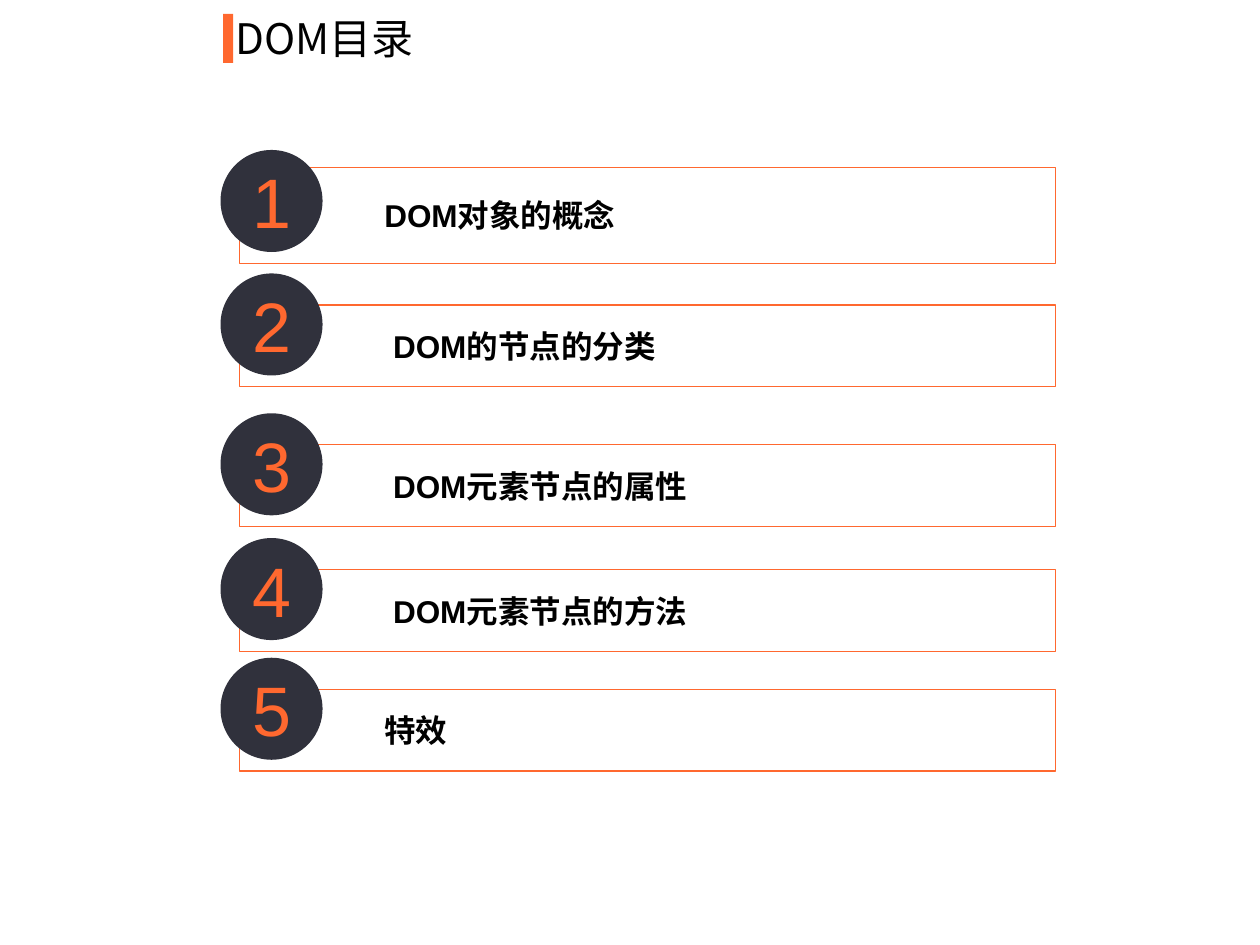
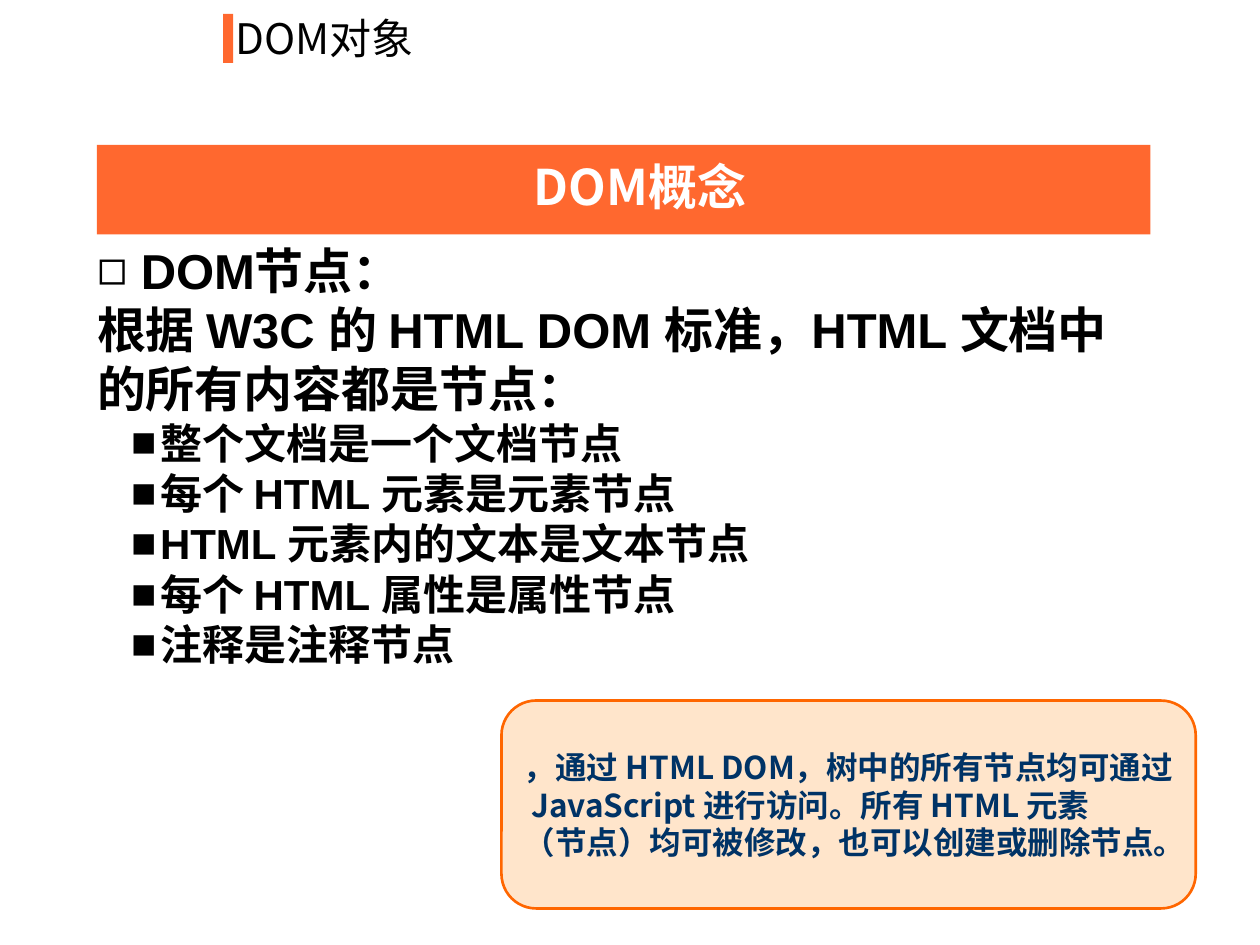
from dataclasses import dataclass

from lxml import etree
from pptx import Presentation
from pptx.dml.color import RGBColor
from pptx.enum.shapes import MSO_SHAPE
from pptx.enum.text import MSO_ANCHOR, MSO_AUTO_SIZE, PP_ALIGN
from pptx.oxml.ns import qn
from pptx.util import Inches, Pt

RECTANGLE = MSO_SHAPE.RECTANGLE
ROUNDED = MSO_SHAPE.ROUNDED_RECTANGLE
OVAL = MSO_SHAPE.OVAL
TOP, MIDDLE = MSO_ANCHOR.TOP, MSO_ANCHOR.MIDDLE
LEFT, CENTER = PP_ALIGN.LEFT, PP_ALIGN.CENTER
NO_AUTOFIT = MSO_AUTO_SIZE.NONE

ORANGE = RGBColor(0xFF, 0x68, 0x2F)
NOTE_ORANGE = RGBColor(0xFF, 0x66, 0x00)
PEACH = RGBColor(0xFF, 0xCC, 0x99)
NAVY = RGBColor(0x00, 0x33, 0x66)
CHARCOAL = RGBColor(0x30, 0x31, 0x3C)
BLACK = RGBColor(0x00, 0x00, 0x00)
WHITE = RGBColor(0xFF, 0xFF, 0xFF)

LATIN_FONT = "Arial"
CHINESE_FONT = "Noto Sans CJK SC"

SLIDE_WIDTH, SLIDE_HEIGHT = Inches(10), Inches(7.5)
COLUMN, ROW = SLIDE_WIDTH / 100, SLIDE_HEIGHT / 75
TITLE_ONLY, TITLE_AND_BODY = 5, 1


@dataclass(frozen=True)
class Area:
    """A place on the grid of 100 columns and 75 rows."""
    column: float
    row: float
    columns: float
    rows: float

    def bounds(self):
        return (round(self.column * COLUMN), round(self.row * ROW),
                round(self.columns * COLUMN), round(self.rows * ROW))


@dataclass(frozen=True)
class TextStyle:
    size: float
    color: RGBColor
    font: str = CHINESE_FONT
    bold: bool = False
    align: PP_ALIGN = LEFT


@dataclass(frozen=True)
class Topic:
    text: str
    box_row: float
    box_rows: float
    circle_row: float


@dataclass(frozen=True)
class BodyLine:
    text: str
    style: TextStyle
    bullet: str = ""
    margin: float = 0
    indent: float = 0


TITLE_STYLE = TextStyle(24, BLACK)
BANNER_STYLE = TextStyle(28, WHITE, bold=True, align=CENTER)
TOPIC_STYLE = TextStyle(18, BLACK, LATIN_FONT, bold=True)
NUMBER_STYLE = TextStyle(40, ORANGE, LATIN_FONT, align=CENTER)
LEAD_STYLE = TextStyle(28, BLACK, LATIN_FONT, bold=True)
ITEM_STYLE = TextStyle(24, BLACK, LATIN_FONT, bold=True)
NOTE_STYLE = TextStyle(18, NAVY, bold=True)

TITLE_BAR = Area(17.7, 1.1, 0.8, 3.9)
TITLE_AREA = Area(17.7, 0.5, 40.2, 5)
BANNER_BAND = Area(7.7, 11.5, 83.6, 7.1)
BANNER_TEXT = Area(13, 11.9, 75.6, 5.7)
BODY_AREA = Area(6.7, 18.6, 85.8, 39)
NOTE_AREA = Area(39.8, 55.6, 55.1, 16.5)
BOX_COLUMN, BOX_COLUMNS = 19, 64.8
CIRCLE_COLUMN, CIRCLE_SIZE = 17.5, 8.1

TOPICS = [
    Topic("DOM对象的概念", 13.3, 7.6, 11.9),
    Topic(" DOM的节点的分类", 24.2, 6.5, 21.7),
    Topic(" DOM元素节点的属性", 35.3, 6.5, 32.8),
    Topic(" DOM元素节点的方法", 45.2, 6.5, 42.7),
    Topic("特效", 54.7, 6.5, 52.2),
]
NODE_KINDS = [
    "整个文档是一个文档节点",
    "每个 HTML 元素是元素节点",
    "HTML 元素内的文本是文本节点",
    "每个 HTML 属性是属性节点",
    "注释是注释节点",
]
BODY_LINES = [
    BodyLine(" DOM节点：", LEAD_STYLE, "◻"),
    BodyLine("根据 W3C 的 HTML DOM 标准，HTML 文档中的所有内容都是节点：", LEAD_STYLE),
    *(BodyLine(kind, ITEM_STYLE, "■", 0.5, -0.23) for kind in NODE_KINDS),
]
NOTE_LINES = [
    "，通过 HTML DOM，树中的所有节点均可通过",
    " JavaScript 进行访问。所有 HTML 元素",
    "（节点）均可被修改，也可以创建或删除节点。",
]


def write_paragraph(paragraph, text: str, style: TextStyle) -> None:
    paragraph.alignment = style.align
    paragraph.line_spacing = 1.0
    paragraph.space_before = paragraph.space_after = Pt(0)
    run = paragraph.add_run()
    run.text = text
    run.font.size = Pt(style.size)
    run.font.bold = style.bold
    run.font.color.rgb = style.color
    run.font.name = style.font
    etree.SubElement(run.font._element, qn("a:ea"), typeface=CHINESE_FONT)


def next_paragraph(frame, index: int):
    return frame.paragraphs[0] if index == 0 else frame.add_paragraph()


def format_bullet(paragraph, line: BodyLine) -> None:
    properties = paragraph._p.get_or_add_pPr()
    properties.set("marL", str(Inches(line.margin)))
    properties.set("indent", str(Inches(line.indent)))
    if not line.bullet:
        etree.SubElement(properties, qn("a:buNone"))
        return
    color = etree.SubElement(properties, qn("a:buClr"))
    etree.SubElement(color, qn("a:srgbClr"), val=str(line.style.color))
    etree.SubElement(properties, qn("a:buFont"), typeface=LATIN_FONT)
    etree.SubElement(properties, qn("a:buChar"), char=line.bullet)


def place(shape, area: Area) -> None:
    shape.left, shape.top, shape.width, shape.height = area.bounds()


def prepare_frame(shape, anchor: MSO_ANCHOR, wrap: bool = True):
    frame = shape.text_frame
    frame.auto_size = NO_AUTOFIT
    frame.word_wrap = wrap
    frame.vertical_anchor = anchor
    return frame


def add_filled_shape(slide, kind: MSO_SHAPE, area: Area, fill: RGBColor,
                     opacity: int = 100, line: RGBColor | None = None,
                     line_width: float = 0.75):
    shape = slide.shapes.add_shape(kind, *area.bounds())
    shape.shadow.inherit = False
    shape.fill.solid()
    shape.fill.fore_color.rgb = fill
    if opacity < 100:
        color = shape.element.spPr.find(qn("a:solidFill")).find(qn("a:srgbClr"))
        etree.SubElement(color, qn("a:alpha"), val=str(opacity * 1000))
    if line is None:
        shape.line.fill.background()
    else:
        shape.line.color.rgb = line
        shape.line.width = Pt(line_width)
    return shape


def add_titled_slide(presentation, layout: int, title: str):
    slide = presentation.slides.add_slide(presentation.slide_layouts[layout])
    add_filled_shape(slide, RECTANGLE, TITLE_BAR, ORANGE)
    place(slide.shapes.title, TITLE_AREA)
    frame = prepare_frame(slide.shapes.title, TOP)
    write_paragraph(frame.paragraphs[0], title, TITLE_STYLE)
    return slide


def add_topic(slide, number: int, topic: Topic) -> None:
    box = add_filled_shape(
        slide, RECTANGLE,
        Area(BOX_COLUMN, topic.box_row, BOX_COLUMNS, topic.box_rows),
        WHITE, opacity=40, line=ORANGE)
    frame = prepare_frame(box, MIDDLE)
    frame.margin_left = Inches(1.15)
    frame.margin_top = frame.margin_right = frame.margin_bottom = Inches(0.08)
    write_paragraph(frame.paragraphs[0], topic.text, TOPIC_STYLE)

    circle = add_filled_shape(
        slide, OVAL,
        Area(CIRCLE_COLUMN, topic.circle_row, CIRCLE_SIZE, CIRCLE_SIZE), CHARCOAL)
    frame = prepare_frame(circle, MIDDLE)
    write_paragraph(frame.paragraphs[0], str(number), NUMBER_STYLE)


def add_contents_slide(presentation) -> None:
    slide = add_titled_slide(presentation, TITLE_ONLY, "DOM目录")
    for number, topic in enumerate(TOPICS, start=1):
        add_topic(slide, number, topic)


def add_banner(slide, text: str) -> None:
    add_filled_shape(slide, RECTANGLE, BANNER_BAND, ORANGE)
    label = slide.shapes.add_textbox(*BANNER_TEXT.bounds())
    frame = prepare_frame(label, TOP)
    write_paragraph(frame.paragraphs[0], text, BANNER_STYLE)


def add_note(slide) -> None:
    note = add_filled_shape(slide, ROUNDED, NOTE_AREA, PEACH, opacity=50,
                            line=NOTE_ORANGE, line_width=1.5)
    frame = prepare_frame(note, MIDDLE, wrap=False)
    for index, text in enumerate(NOTE_LINES):
        write_paragraph(next_paragraph(frame, index), text, NOTE_STYLE)


def add_concept_slide(presentation) -> None:
    slide = add_titled_slide(presentation, TITLE_AND_BODY, "DOM对象")
    add_banner(slide, "DOM概念")
    body = slide.placeholders[1]
    place(body, BODY_AREA)
    frame = prepare_frame(body, TOP)
    for index, line in enumerate(BODY_LINES):
        paragraph = next_paragraph(frame, index)
        write_paragraph(paragraph, line.text, line.style)
        format_bullet(paragraph, line)
    add_note(slide)


def main() -> None:
    presentation = Presentation()
    presentation.slide_width = SLIDE_WIDTH
    presentation.slide_height = SLIDE_HEIGHT
    add_contents_slide(presentation)
    add_concept_slide(presentation)
    presentation.save("out.pptx")


if __name__ == "__main__":
    main()
